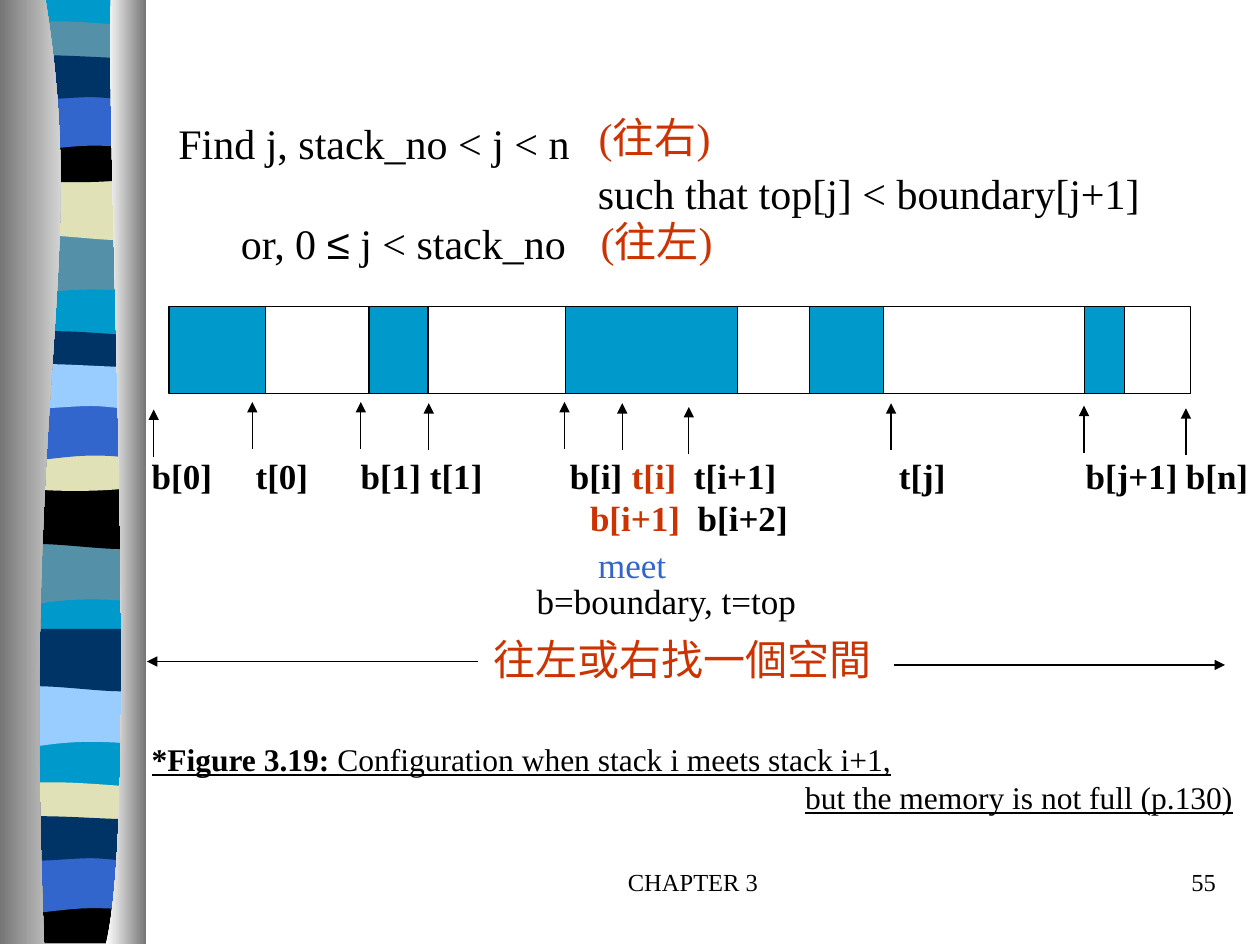
from dataclasses import dataclass

from lxml import etree
from pptx import Presentation
from pptx.dml.color import RGBColor
from pptx.enum import shapes, text
from pptx.oxml import ns
from pptx.util import Pt

BLACK = RGBColor(0x00, 0x00, 0x00)
WHITE = RGBColor(0xFF, 0xFF, 0xFF)
GRAY = RGBColor(0x76, 0x76, 0x76)
CYAN = RGBColor(0x00, 0x99, 0xCC)
TEAL = RGBColor(0x54, 0x90, 0xA8)
SAND = RGBColor(0xE1, 0xE1, 0xB7)
BLUE = RGBColor(0x33, 0x66, 0xCC)
NAVY = RGBColor(0x00, 0x33, 0x66)
SKY = RGBColor(0x99, 0xCC, 0xFF)
RED = RGBColor(0xCC, 0x33, 0x00)
SERIF = "Times New Roman"

# Outlines in points: a pair is a corner, six numbers are a cubic curve.
DIPPED = [(78, 0), (78, 34), (24, 28, 13, 39.6, 0, 34), (0, 0)]
SWELLED = [(78, 0), (78, 34), (65, 39.6, 24, 29.5, 0, 34), (0, 0)]
THIN = [(78, 3.6), (78, 21), (65, 24, 13, 24, 0, 21), (0, 3.6),
        (4.3, 0, 16.6, 0.7, 29.5, 0.7), (42.5, 0.7, 68, 3, 78, 3.6)]
BOWED = [(78, 0), (78, 23), (65, 27.4, 13, 27.4, 0, 23), (0, 0),
         (47.5, 3.6, 61, 0, 78, 0)]
ARCHED = [(78, 0), (78, 34), (65.5, 30, 60.5, 30, 47.5, 30),
          (34.6, 30, 11.5, 34, 0, 34), (0, 0)]
WAVY = [(78, 3.6), (78, 26), (73, 29.5, 60.5, 26, 47.5, 26),
        (34.6, 26, 8, 29.5, 0, 26), (0, 3.6), (10.8, 0, 52.5, 3.6, 65.5, 3.6),
        (79, 3.6, 75, 3.6, 78, 3.6)]
FOOT = [(78, 0), (78, 26.5), (0, 26.5), (0, 0), (47.5, 3.6, 61, 0, 78, 0)]
LEFT_PANEL = [(26, 0), (51, 155.5, 12.2, 213, 25.2, 539.3), (0, 539.3), (0, 0)]
RIGHT_PANEL = [(63.4, 0), (60.5, 90, 80, 465, 60.5, 539.3), (83.5, 539.3), (83.5, 0)]


@dataclass
class Band:
    outline: list
    top: float
    color: RGBColor


@dataclass
class Arrow:
    x1: float
    y1: float
    x2: float
    y2: float


@dataclass
class Run:
    text: str
    color: RGBColor = BLACK
    bold: bool = False
    underline: bool = False
    font: str = SERIF


@dataclass
class Line:
    runs: list
    size: float
    before: float = 0
    tabs: tuple = ()
    align: text.PP_ALIGN = text.PP_ALIGN.LEFT


BANDS = [
    Band(DIPPED, 133.2, TEAL), Band(SWELLED, 101.5, SAND), Band(THIN, 11.5, TEAL),
    Band(BOWED, 77.8, BLACK), Band(ARCHED, 53.3, BLUE), Band(WAVY, 29.5, NAVY),
    Band(DIPPED, 310.3, TEAL), Band(SWELLED, 278, BLACK), Band(THIN, 188.6, NAVY),
    Band(BOWED, 254.2, SAND), Band(ARCHED, 230.4, BLUE), Band(WAVY, 206, SKY),
    Band(DIPPED, 391.7, SKY), Band(SWELLED, 359.3, NAVY), Band(THIN, 446.4, SAND),
    Band(FOOT, 512.6, BLACK), Band(ARCHED, 489, BLUE), Band(WAVY, 464.4, NAVY),
]
USED_SEGMENTS = [(96.5, 55.3), (210.8, 33.8), (323.3, 98), (462.4, 42.5), (619.8, 23)]
POINTER_LENGTH = 27
POINTER_TIPS = [(87.8, 234), (144.2, 229.7), (206.2, 229.7), (245, 230.4), (355.6, 230.4),
                (322.6, 229.7), (393.6, 232.6), (509.2, 230.4), (619.4, 231.8), (677.7, 233.3)]
SEARCH_ARROWS = [Arrow(273, 378, 84, 378), Arrow(511, 380, 700, 380)]

LABELS = [
    Line([Run("b[0]\tt[0]\tb[1]\tt[1]\tb[i]\t", bold=True), Run("t[i]", RED, True),
          Run("\tt[i+1]\tt[j]\tb[j+1]\tb[n]", bold=True)], 20,
         tabs=(59.4, 119.4, 159, 239, 274.3, 309.9, 427, 533.7, 591)),
    Line([Run("\tb[i+1]", RED, True), Run("\tb[i+2]", bold=True)], 20, 0, (250.5, 312)),
    Line([Run("\tb=boundary, t=top")], 20, 23.5, (220,)),
    Line([Run("*Figure 3.19: ", bold=True, underline=True),
          Run("Configuration when stack i meets stack i+1,", underline=True)], 18, 67.5),
    Line([Run("\t"), Run("but the memory is not full (p.130)", underline=True)],
         18, 0, (373.4,)),
]
CONDITIONS = [
    Line([Run("Find j, stack_no < j < n")], 24),
    Line([Run("\tsuch that top[j] < boundary[j+1]")], 24, 0, (239.7,)),
    Line([Run("\tor, 0 "), Run("≤", font="Arial"), Run(" j < stack_no")], 24, 0, (35.8,)),
]


def add_outline(slide, outline: list, left: float = 0, top: float = 0):
    """Draw every point as a corner, then join each curve's three into one cubic."""
    points = [(Pt(left + part[i]), Pt(top + part[i + 1]))
              for part in outline for i in range(0, len(part), 2)]
    builder = slide.shapes.build_freeform(*points[0], scale=1.0)
    builder.add_line_segments(points[1:], close=True)
    shape = builder.convert_to_shape()
    segments = iter(list(shape._element.iter(ns.qn("a:lnTo"))))
    for part in outline[1:]:
        segment = next(segments)
        if len(part) == 6:
            curve = etree.Element(ns.qn("a:cubicBezTo"))
            segment.addprevious(curve)
            for corner in (segment, next(segments), next(segments)):
                curve.append(corner[0])
                corner.getparent().remove(corner)
    shape.shadow.inherit = False
    shape.line.fill.background()
    return shape


def add_band(slide, band: Band) -> None:
    shape = add_outline(slide, band.outline, 4, band.top)
    shape.fill.solid()
    shape.fill.fore_color.rgb = band.color


def add_panel(slide, outline: list, colors: tuple) -> None:
    fill = add_outline(slide, outline).fill
    fill.gradient()
    fill.gradient_angle = 0
    for stop, color in zip(fill.gradient_stops, colors):
        stop.color.rgb = color


def add_rectangle(slide, left, top, width, height, color=None, outlined=True) -> None:
    shape = slide.shapes.add_shape(shapes.MSO_SHAPE.RECTANGLE,
                                   Pt(left), Pt(top), Pt(width), Pt(height))
    shape.shadow.inherit = False
    if color is None:
        shape.fill.background()
    else:
        shape.fill.solid()
        shape.fill.fore_color.rgb = color
    if outlined:
        shape.line.color.rgb = BLACK
        shape.line.width = Pt(0.75)
    else:
        shape.line.fill.background()


def add_arrow(slide, arrow: Arrow) -> None:
    connector = slide.shapes.add_connector(
        shapes.MSO_CONNECTOR.STRAIGHT,
        Pt(arrow.x1), Pt(arrow.y1), Pt(arrow.x2), Pt(arrow.y2))
    connector.line.color.rgb = BLACK
    connector.line.width = Pt(0.75)
    etree.SubElement(connector.line._get_or_add_ln(), ns.qn("a:tailEnd"), type="triangle")
    etree.SubElement(connector._element.spPr, ns.qn("a:effectLst"))


def add_text(slide, left, top, width, height, lines: list, wrap: bool = False) -> None:
    frame = slide.shapes.add_textbox(Pt(left), Pt(top), Pt(width), Pt(height)).text_frame
    frame.word_wrap = wrap
    if wrap:
        frame.margin_right = 0
    for index, line in enumerate(lines):
        paragraph = frame.add_paragraph() if index else frame.paragraphs[0]
        paragraph.alignment = line.align
        if line.before:
            paragraph.space_before = Pt(line.before)
        if line.tabs:
            stops = etree.SubElement(paragraph._p.get_or_add_pPr(), ns.qn("a:tabLst"))
            for position in line.tabs:
                etree.SubElement(stops, ns.qn("a:tab"), pos=str(Pt(position)), algn="l")
        for item in line.runs:
            run = paragraph.add_run()
            run.text = item.text
            run.font.name = item.font
            run.font.size = Pt(line.size)
            run.font.bold = item.bold
            run.font.underline = item.underline
            run.font.color.rgb = item.color


def main() -> None:
    presentation = Presentation()
    presentation.slide_width, presentation.slide_height = Pt(720), Pt(540)
    slide = presentation.slides.add_slide(presentation.slide_layouts[6])
    center, right = text.PP_ALIGN.CENTER, text.PP_ALIGN.RIGHT

    add_rectangle(slide, 4, 0, 78, 538, CYAN, outlined=False)
    for band in BANDS:
        add_band(slide, band)
    add_panel(slide, LEFT_PANEL, (GRAY, WHITE))
    add_panel(slide, RIGHT_PANEL, (WHITE, GRAY))

    add_text(slide, 282, 492, 228, 36, [Line([Run("CHAPTER 3")], 14, align=center)])
    add_text(slide, 552, 492, 150, 36, [Line([Run("55")], 14, align=right)])

    add_rectangle(slide, 98, 175, 582.5, 50)
    for left, width in USED_SEGMENTS:
        add_rectangle(slide, left, 175, width, 50, CYAN)
    for x, tip in POINTER_TIPS:
        add_arrow(slide, Arrow(x, tip + POINTER_LENGTH, x, tip))
    add_text(slide, 79.6, 256.2, 640.4, 214, LABELS, wrap=True)
    add_text(slide, 94.8, 63.4, 564, 93.6, CONDITIONS, wrap=True)
    add_text(slide, 334.6, 307, 53.3, 31.7, [Line([Run("meet", BLUE)], 20, align=center)])
    for arrow in SEARCH_ARROWS:
        add_arrow(slide, arrow)
    add_text(slide, 275, 358.6, 230.4, 36,
             [Line([Run("往左或右找一個空間", RED)], 24, align=center)])
    add_text(slide, 336.2, 119.5, 90, 36, [Line([Run("(往左)", RED)], 24)])
    add_text(slide, 335, 60.2, 90, 36, [Line([Run("(往右)", RED)], 24)])
    presentation.save("out.pptx")


if __name__ == "__main__":
    main()
